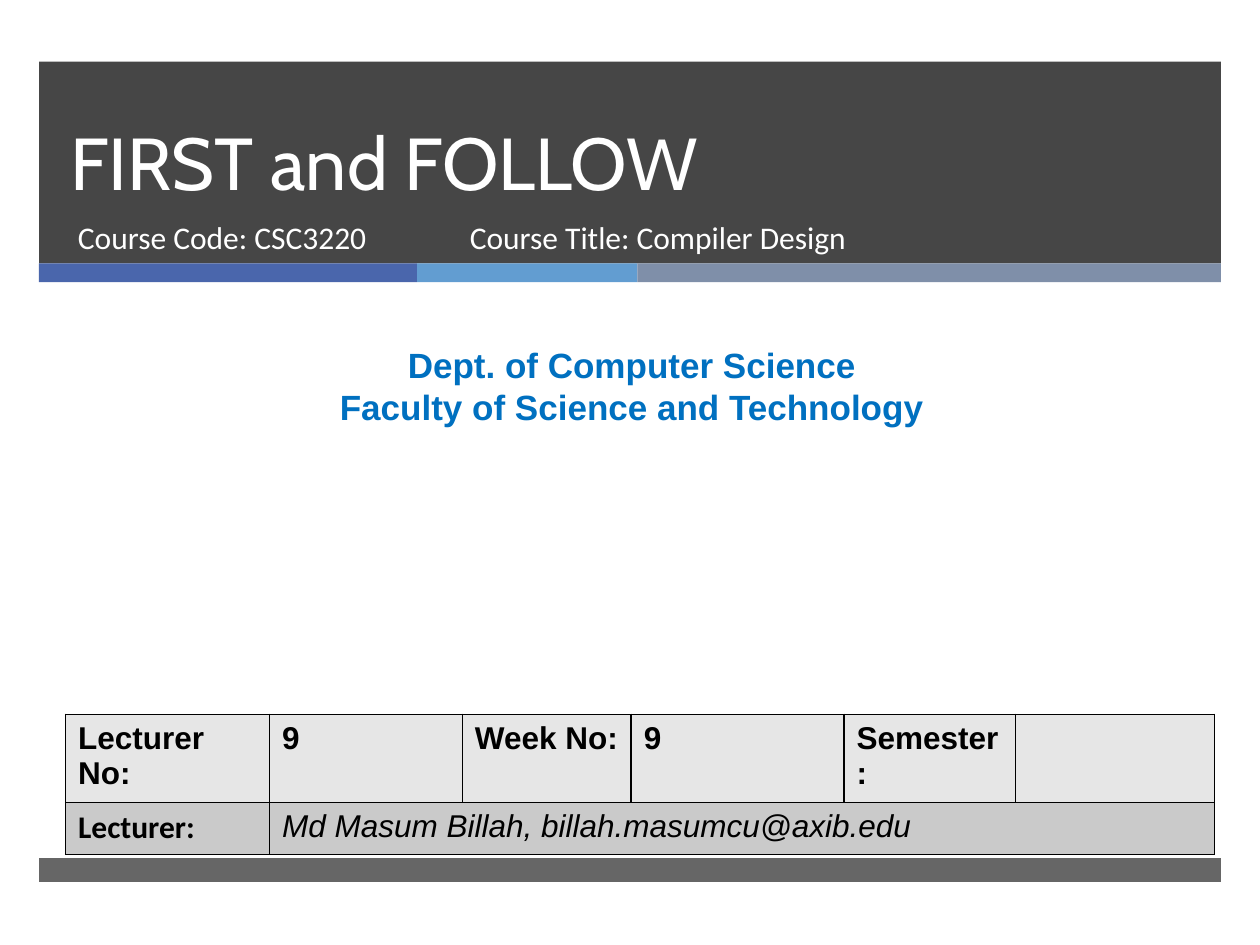
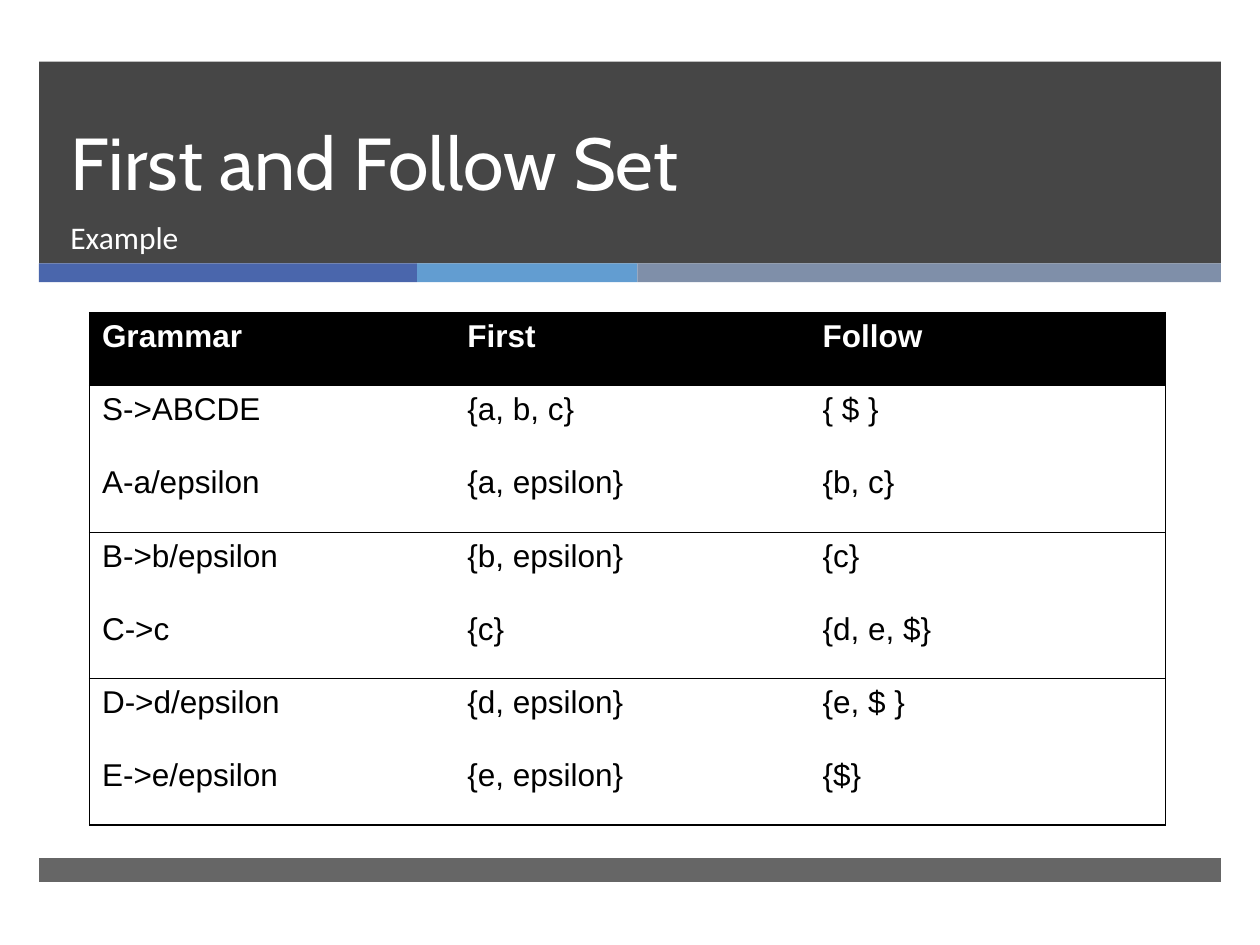
import pptx
import pptx.dml.color
import pptx.enum.shapes
import pptx.enum.text
import pptx.oxml
import pptx.oxml.ns
import pptx.util
from pptx.util import Inches

COLORS = {
    "band": "262626", "blue": "4A66AC", "sky": "629DD1", "slate": "7F8FA9",
    "department": "0070C0", "white": "FFFFFF", "black": "000000",
    "light": "E6E6E6", "mid": "CACACA",
}
# left, top, width, height, colour, opacity in percent
BANDS = [
    (0.31, 0.49, 9.38, 1.6, "band", 85),
    (0.31, 2.09, 3, 0.15, "blue", 100),
    (3.31, 2.09, 1.75, 0.15, "sky", 100),
    (5.06, 2.09, 4.63, 0.15, "slate", 100),
    (0.31, 6.81, 9.38, 0.19, "band", 70),
]
HEADINGS = [
    ("FIRST and FOLLOW", [("Course Code: CSC3220", 0.52, 3.05),
                          ("Course Title: Compiler Design", 3.63, 4.55)]),
    ("First and Follow Set", [("Example", 0.46, 7.75)]),
]


def write(frame, text, size, font, color, bold=False, italic=False):
    frame.text = text
    for paragraph in frame.paragraphs:
        paragraph.font.size = pptx.util.Pt(size)
        paragraph.font.name = font
        paragraph.font.bold = bold
        paragraph.font.italic = italic
        paragraph.font.color.rgb = pptx.dml.color.RGBColor.from_string(COLORS[color])


def style_cell(cell, fill, edges, width):
    """Draw the edges named by letters of LRTB, hide the others, then fill the cell."""
    properties = cell._tc.get_or_add_tcPr()
    for side in "LRTB":
        paint = ('<a:solidFill><a:srgbClr val="%s"/></a:solidFill>' % COLORS["black"]
                 if side in edges else "<a:noFill/>")
        properties.append(pptx.oxml.parse_xml(
            f'<a:ln{side} {pptx.oxml.ns.nsdecls("a")} w="{pptx.util.Pt(width)}">{paint}</a:ln{side}>'))
    if fill:
        cell.fill.solid()
        cell.fill.fore_color.rgb = pptx.dml.color.RGBColor.from_string(COLORS[fill])
    else:
        cell.fill.background()


deck = pptx.Presentation()
deck.slide_width, deck.slide_height = Inches(10), Inches(7.5)

# Shared bands, titles and subtitles
for heading, subtitles in HEADINGS:
    slide = deck.slides.add_slide(deck.slide_layouts[5])
    for left, top, width, height, color, opacity in BANDS:
        band = slide.shapes.add_shape(pptx.enum.shapes.MSO_SHAPE.RECTANGLE, Inches(left),
                                      Inches(top), Inches(width), Inches(height))
        band.shadow.inherit = False
        band.line.fill.background()
        band.fill.solid()
        band.fill.fore_color.rgb = pptx.dml.color.RGBColor.from_string(COLORS[color])
        if opacity < 100:
            tint = band.element.spPr.find(".//" + pptx.oxml.ns.qn("a:srgbClr"))
            tint.append(pptx.oxml.parse_xml(
                f'<a:alpha {pptx.oxml.ns.nsdecls("a")} val="{opacity * 1000}"/>'))

    title = slide.shapes.title
    title.element.getparent().append(title.element)  # in front of the bands
    title.left, title.top = Inches(0.46), Inches(0.49)
    title.width, title.height = Inches(8.54), Inches(1.19)
    write(title.text_frame, heading, 42, "Cabin", "white")
    title.text_frame.auto_size = pptx.enum.text.MSO_AUTO_SIZE.NONE
    title.text_frame.vertical_anchor = pptx.enum.text.MSO_ANCHOR.BOTTOM
    title.text_frame.paragraphs[0].alignment = pptx.enum.text.PP_ALIGN.LEFT
    title.text_frame.paragraphs[0].line_spacing = 1.1

    for text, left, width in subtitles:
        subtitle = slide.shapes.add_textbox(Inches(left), Inches(1.68), Inches(width), Inches(0.53))
        subtitle.text_frame.word_wrap = True
        write(subtitle.text_frame, text, 18, "Calibri", "white")

cover, example = deck.slides

# Cover: department and lecture details
department = cover.shapes.add_textbox(Inches(0.08), Inches(2.68), Inches(9.87), Inches(0.77))
department.text_frame.word_wrap = True
write(department.text_frame, "Dept. of Computer Science\nFaculty of Science and Technology",
      20, "Arial", "department", bold=True)
for paragraph in department.text_frame.paragraphs:
    paragraph.alignment = pptx.enum.text.PP_ALIGN.CENTER

detail_widths = [1.62, 1.53, 1.34, 1.69, 1.36, 1.58]
details = cover.shapes.add_table(2, 6, Inches(0.52), Inches(5.67),
                                 Inches(sum(detail_widths)), Inches(0.82)).table
for column, width in zip(details.columns, detail_widths):
    column.width = Inches(width)
for row, fill in enumerate(["light", "mid"]):
    for column in range(6):
        style_cell(details.cell(row, column), fill, "LRTB", 1)
for column, text in enumerate(["Lecturer No:", "9", "Week No:", "9", "Semester:", ""]):
    write(details.cell(0, column).text_frame, text, 18, "Arial", "black", bold=True)
details.cell(1, 1).merge(details.cell(1, 5))
write(details.cell(1, 0).text_frame, "Lecturer:", 18, "Calibri", "black", bold=True)
write(details.cell(1, 1).text_frame, "Md Masum Billah, billah.masumcu@axib.edu",
      18, "Arial", "black", italic=True)

# Example: FIRST and FOLLOW sets of a grammar
sets = [
    ("Grammar", "First", "Follow"),
    ("S->ABCDE", "{a, b, c}", "{ $ }"),
    ("A-a/epsilon", "{a, epsilon}", "{b, c}"),
    ("B->b/epsilon", "{b, epsilon}", "{c}"),
    ("C->c", "{c}", "{d, e, $}"),
    ("D->d/epsilon", "{d, epsilon}", "{e, $ }"),
    ("E->e/epsilon", "{e, epsilon}", "{$}"),
]
set_widths = [2.9, 2.82, 2.82]
set_table = example.shapes.add_table(len(sets), 3, Inches(0.71), Inches(2.48),
                                     Inches(sum(set_widths)), Inches(4.07)).table
for column, width in zip(set_table.columns, set_widths):
    column.width = Inches(width)
for row, texts in enumerate(sets):
    header = row == 0
    for column, text in enumerate(texts):
        cell = set_table.cell(row, column)
        edges = ("T" if header or row % 2 else "B") + ("B" if header else "")
        edges += {0: "L", 2: "R"}.get(column, "")
        style_cell(cell, "black" if header else None, edges, 0.75)
        write(cell.text_frame, text, 18, "Arial", "white" if header else "black", bold=header)

deck.save("out.pptx")
